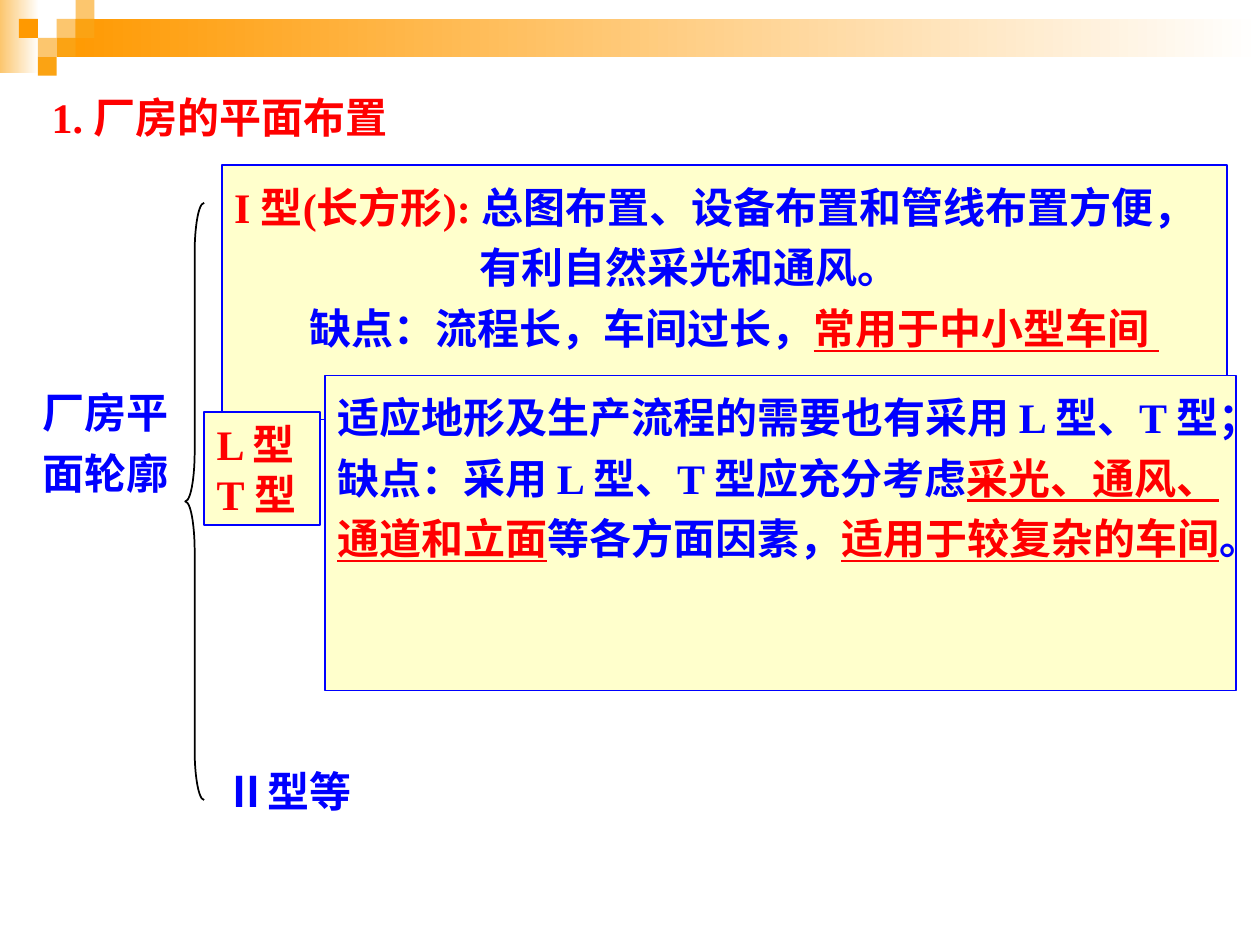
from dataclasses import dataclass
from typing import NamedTuple

from pptx import Presentation
from pptx.dml.color import RGBColor
from pptx.enum.shapes import MSO_SHAPE
from pptx.enum.text import MSO_ANCHOR, MSO_AUTO_SIZE, PP_ALIGN
from pptx.util import Inches, Pt

CELL = 0.1  # the slide is a grid of 100 columns by 75 rows
SQUARE = 1.5  # side of a decoration square, in cells


@dataclass(frozen=True)
class Theme:
    font: str = "Times New Roman"
    size: int = 24
    line_width: int = 1
    loose: float = 1.2
    red: str = "FF0000"
    blue: str = "0000FF"
    black: str = "000000"
    panel: str = "FFFFCC"
    white: str = "FFFFFF"
    orange: str = "FF9900"
    amber: str = "FBA313"
    pale: str = "FCC66E"


THEME = Theme()


class Frame(NamedTuple):
    column: float
    row: float
    columns: float
    rows: float

    def lengths(self) -> list:
        return [Inches(value * CELL) for value in self]


class Span(NamedTuple):
    text: str
    color: str
    underline: bool = False
    bold: bool = True


class Para(NamedTuple):
    spans: list
    spacing: float = 1.0
    margin: float = 0  # columns
    indent: float = 0  # columns


def rgb(color: str) -> RGBColor:
    return RGBColor.from_string(color)


def add_block(page, frame: Frame, color: str, fade: bool = False):
    """Add a borderless rectangle, solid or fading to white on the right."""
    block = page.shapes.add_shape(MSO_SHAPE.RECTANGLE, *frame.lengths())
    block.shadow.inherit = False
    block.line.fill.background()
    if fade:
        block.fill.gradient()
        block.fill.gradient_angle = 0
        for stop, stop_color in zip(block.fill.gradient_stops, (color, THEME.white)):
            stop.color.rgb = rgb(stop_color)
    else:
        block.fill.solid()
        block.fill.fore_color.rgb = rgb(color)
    return block


def write(shape, paras: list, anchor=MSO_ANCHOR.TOP, wrap: bool = True) -> None:
    text_frame = shape.text_frame
    text_frame.word_wrap = wrap
    text_frame.auto_size = MSO_AUTO_SIZE.NONE
    text_frame.vertical_anchor = anchor
    text_frame.text = "\n".join("" for _ in paras)
    for paragraph, para in zip(text_frame.paragraphs, paras):
        paragraph.alignment = PP_ALIGN.LEFT
        paragraph.line_spacing = para.spacing
        if para.margin:
            properties = paragraph._p.get_or_add_pPr()
            properties.set("marL", str(Inches(para.margin * CELL)))
            properties.set("indent", str(Inches(para.indent * CELL)))
        for span in para.spans:
            run = paragraph.add_run()
            run.text = span.text
            run.font.name = THEME.font
            run.font.size = Pt(THEME.size)
            run.font.bold = span.bold
            run.font.underline = span.underline
            run.font.color.rgb = rgb(span.color)


def add_label(page, frame: Frame, para: Para, anchor=MSO_ANCHOR.TOP) -> None:
    write(page.shapes.add_textbox(*frame.lengths()), [para], anchor)


def add_panel(page, frame: Frame, paras: list, wrap: bool = True) -> None:
    panel = add_block(page, frame, THEME.panel)
    panel.line.color.rgb = rgb(THEME.blue)
    panel.line.width = Pt(THEME.line_width)
    write(panel, paras, wrap=wrap)


def add_decoration(page) -> None:
    add_block(page, Frame(0, 0, 3.1, 5.8), THEME.pale, fade=True)
    add_block(page, Frame(4.5, 1.5, 95.5, 3), THEME.orange, fade=True)
    squares = [
        (3, 1, THEME.pale), (4, 0, THEME.pale), (4, 1, THEME.amber),
        (2, 2, THEME.pale), (1, 1, THEME.orange), (3, 2, THEME.amber),
        (2, 3, THEME.amber),
    ]
    for column, row, color in squares:
        add_block(page, Frame(column * SQUARE, row * SQUARE, SQUARE, SQUARE), color)


def add_brace(page, frame: Frame) -> None:
    brace = page.shapes.add_shape(MSO_SHAPE.LEFT_BRACE, *frame.lengths())
    brace.shadow.inherit = False
    brace.adjustments[0] = 2.63
    brace.fill.background()
    brace.line.color.rgb = rgb(THEME.black)
    brace.line.width = Pt(THEME.line_width)


def main() -> None:
    deck = Presentation()
    deck.slide_width, deck.slide_height = Inches(10), Inches(7.5)
    page = deck.slides.add_slide(deck.slide_layouts[5])
    red, blue, loose = THEME.red, THEME.blue, THEME.loose

    add_decoration(page)
    title = page.shapes.title
    title.left, title.top, title.width, title.height = Frame(3.1, 6.8, 33.4, 5).lengths()
    write(title, [Para([Span("1. 厂房的平面布置", red)])], MSO_ANCHOR.MIDDLE)

    add_label(page, Frame(2.4, 29.4, 14.2, 10.6),
              Para([Span("厂房平面轮廓", blue)], loose), MSO_ANCHOR.MIDDLE)
    add_brace(page, Frame(14.7, 16.1, 1.5, 47.4))
    add_panel(page, Frame(17.6, 13.1, 79.8, 20.2), [
        Para([Span("I 型(长方形): ", red),
              Span("总图布置、设备布置和管线布置方便，有利自然采光和通风。", blue)],
             loose, 19.5, -19.5),
        Para([Span("缺点：流程长，车间过长，", blue),
              Span("常用于中小型车间", red, underline=True),
              Span(" ", red, underline=True, bold=False)],
             loose, 19.5, -13.5),
    ])
    add_panel(page, Frame(16.2, 32.7, 9.2, 9),
              [Para([Span(name, red)]) for name in ("L 型", "T 型")], wrap=False)
    add_label(page, Frame(16.9, 60.3, 18.9, 5), Para([Span("Ⅱ型等", blue)]))
    add_panel(page, Frame(25.8, 29.8, 72.3, 25), [
        Para([Span("适应地形及生产流程的需要也有采用 L 型、T 型；", blue)], loose),
        Para([Span("缺点：采用 L 型、T 型应充分考虑", blue),
              Span("采光、通风、通道和立面", red, underline=True),
              Span("等各方面因素，", blue),
              Span("适用于较复杂的车间", red, underline=True),
              Span("。", blue)], loose),
    ])
    deck.save("out.pptx")


if __name__ == "__main__":
    main()
